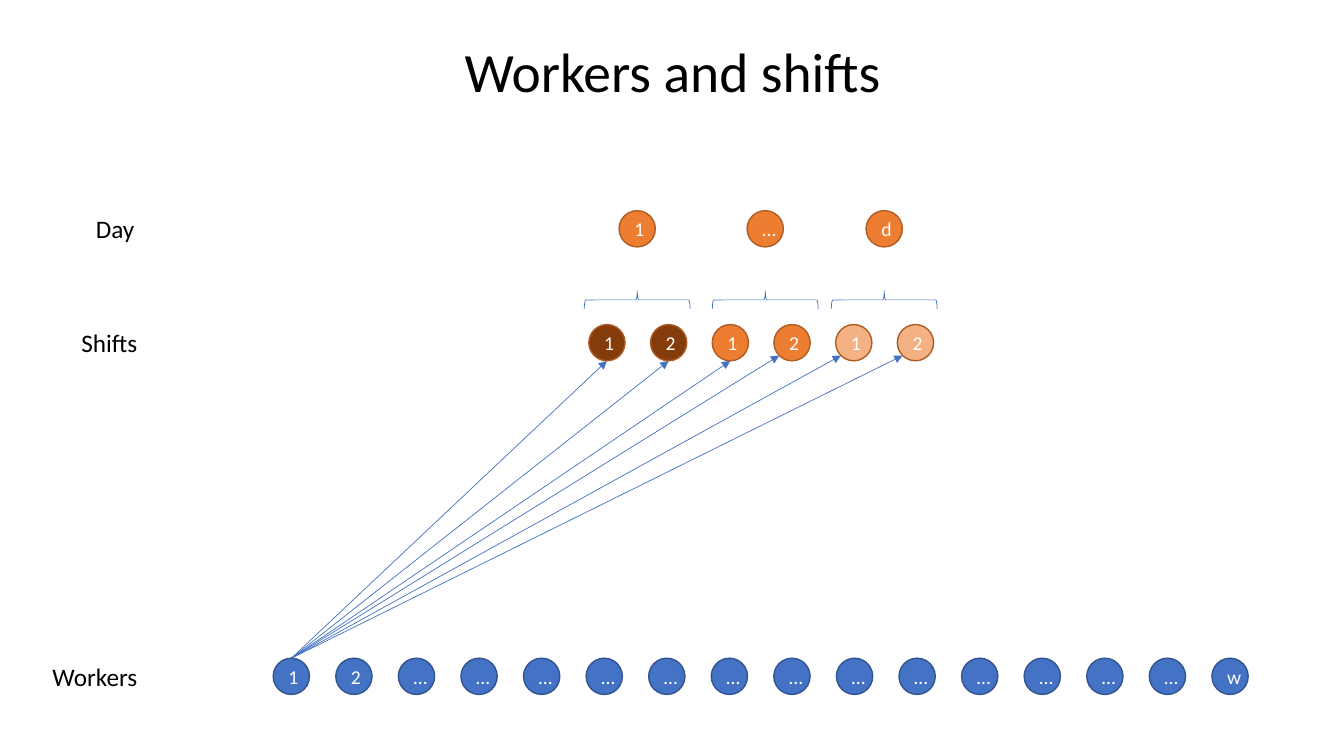
from dataclasses import dataclass
from math import sqrt

from lxml import etree
from pptx import Presentation
from pptx import util as u
from pptx.dml.color import RGBColor
from pptx.enum import shapes, text
from pptx.oxml.ns import qn

FONT = "Calibri"
BLUE, BLUE_EDGE = "4472C4", "325491"
ORANGE, ORANGE_EDGE = "ED7D31", "AF5C24"
BROWN, PEACH = "843C0B", "F4B183"
DIAMETER = 0.36
RADIUS = DIAMETER / 2
DAY_TOP, SHIFT_TOP, WORKER_TOP = 2.09, 3.22, 6.53
BRACE_DEPTH, BRACE_SPAN, BRACE_TOP = 0.18, 1.05, 2.45


@dataclass
class Node:
    label: str
    left: float
    top: float
    fill: str
    edge: str


@dataclass
class Label:
    wording: str
    left: float
    top: float
    width: float
    height: float
    size: float
    align: text.PP_ALIGN


def rgb(value: str) -> RGBColor:
    return RGBColor.from_string(value)


def spread(first: float, last: float, count: int) -> list[float]:
    """Return evenly spaced positions from first to last."""
    return [first + (last - first) * i / (count - 1) for i in range(count)]


def style_text(frame, wording: str, size: float, color: str, align):
    frame.text = wording
    para = frame.paragraphs[0]
    para.alignment = align
    font = para.runs[0].font
    font.name, font.size = FONT, u.Pt(size)
    font.color.rgb = rgb(color)
    return para


def add_node(page, node: Node):
    circle = page.shapes.add_shape(
        shapes.MSO_SHAPE.OVAL, u.Inches(node.left), u.Inches(node.top),
        u.Inches(DIAMETER), u.Inches(DIAMETER))
    circle.shadow.inherit = False
    circle.fill.solid()
    circle.fill.fore_color.rgb = rgb(node.fill)
    circle.line.color.rgb = rgb(node.edge)
    circle.line.width = u.Pt(1)
    circle.text_frame.vertical_anchor = text.MSO_ANCHOR.MIDDLE
    style_text(circle.text_frame, node.label, 14, "FFFFFF", text.PP_ALIGN.CENTER)
    return circle


def add_label(page, label: Label):
    box = page.shapes.add_textbox(
        u.Inches(label.left), u.Inches(label.top),
        u.Inches(label.width), u.Inches(label.height))
    box.text_frame.word_wrap = True
    style_text(box.text_frame, label.wording, label.size, "000000", label.align)
    return box


def add_brace(page, center: float) -> None:
    brace = page.shapes.add_shape(
        shapes.MSO_SHAPE.LEFT_BRACE, u.Inches(center - BRACE_DEPTH / 2),
        u.Inches(BRACE_TOP), u.Inches(BRACE_DEPTH), u.Inches(BRACE_SPAN))
    brace.rotation = 90
    brace.shadow.inherit = False
    brace.fill.background()
    brace.line.color.rgb = rgb(BLUE)
    brace.line.width = u.Pt(0.5)


def add_arrow(page, worker, x: float, y: float) -> None:
    """Draw an arrow from the top of a worker to a point, behind the circles."""
    arrow = page.shapes.add_connector(
        shapes.MSO_CONNECTOR.STRAIGHT, 0, 0, u.Inches(x), u.Inches(y))
    arrow.begin_connect(worker, 0)
    arrow.line.color.rgb = rgb(BLUE)
    arrow.line.width = u.Pt(0.5)
    line = arrow.line._get_or_add_ln()
    etree.SubElement(line, qn("a:tailEnd"), type="triangle")
    etree.SubElement(arrow.element.spPr, qn("a:effectLst"))
    page.shapes.element.insert(2, arrow.element)


def main() -> None:
    deck = Presentation()
    deck.slide_width, deck.slide_height = u.Inches(13.33), u.Inches(7.5)
    page = deck.slides.add_slide(deck.slide_layouts[6])

    title = add_label(page, Label("Workers and shifts", 0.92, 0.4, 11.5, 0.67,
                                  39.6, text.PP_ALIGN.CENTER))
    title.text_frame.vertical_anchor = text.MSO_ANCHOR.MIDDLE
    title.text_frame.paragraphs[0].line_spacing = 0.9

    for wording, left, top in (("Day", 0.01, 2.07), ("Shifts", 0.04, 3.2),
                               ("Workers", 0.04, 6.51)):
        row = add_label(page, Label(wording, left, top, 1.42, 0.4, 18,
                                    text.PP_ALIGN.RIGHT))
        row.text_frame.auto_size = text.MSO_AUTO_SIZE.SHAPE_TO_FIT_TEXT

    for day, left in (("1", 6.14), ("…", 7.41), ("d", 8.59)):
        add_node(page, Node(day, left, DAY_TOP, ORANGE, ORANGE_EDGE))
        add_brace(page, left + RADIUS)

    worker_names = ["1", "2"] + ["…"] * 13 + ["w"]
    worker_lefts = spread(2.71, 12.02, len(worker_names))
    workers = [add_node(page, Node(name, left, WORKER_TOP, BLUE, BLUE_EDGE))
               for name, left in zip(worker_names, worker_lefts)]

    shift_fills = [fill for fill in (BROWN, ORANGE, PEACH) for _ in range(2)]
    shift_lefts = spread(5.84, 8.9, len(shift_fills))
    diagonal = RADIUS / sqrt(2)
    for i, (fill, left) in enumerate(zip(shift_fills, shift_lefts)):
        add_node(page, Node(str(i % 2 + 1), left, SHIFT_TOP, fill, ORANGE_EDGE))
        # Near shifts are reached from below, far ones at their lower left
        dx, dy = (0, RADIUS) if i < 3 else (-diagonal, diagonal)
        add_arrow(page, workers[0], left + RADIUS + dx, SHIFT_TOP + RADIUS + dy)

    deck.save("out.pptx")


if __name__ == "__main__":
    main()
